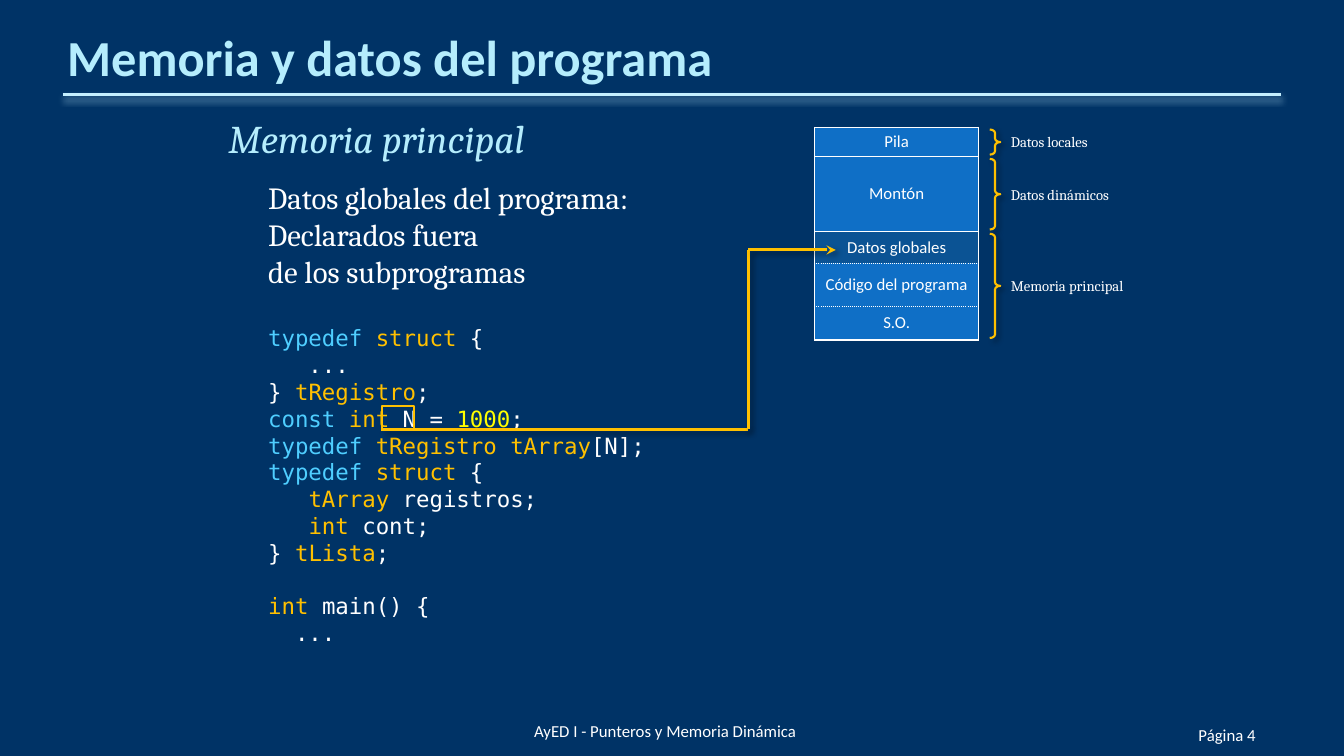
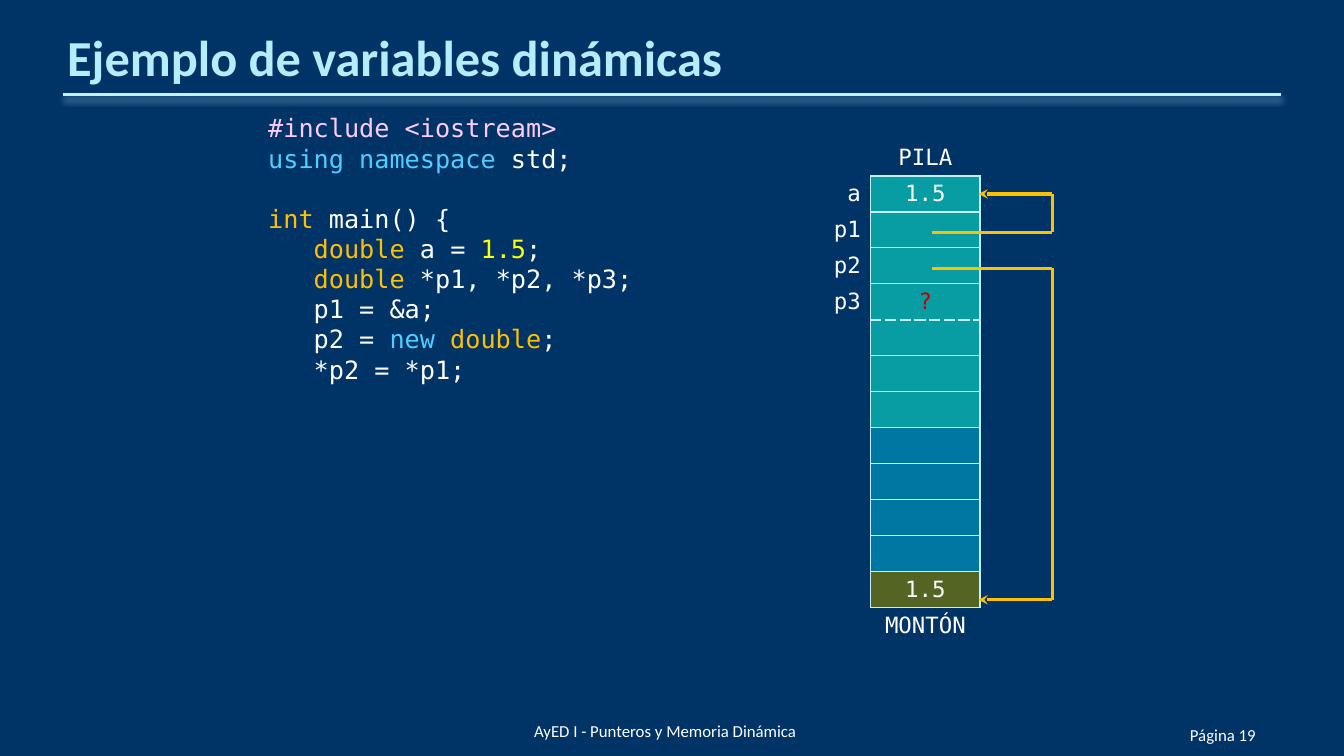
from itertools import accumulate, pairwise

from pptx import Presentation
from pptx.dml.color import RGBColor
from pptx.enum.shapes import MSO_CONNECTOR as CONN, MSO_SHAPE as SHAPE
from pptx.enum.text import MSO_ANCHOR as ANCHOR, MSO_AUTO_SIZE as AUTO, PP_ALIGN as ALIGN
from pptx.oxml.ns import qn
from pptx.util import Pt
from lxml.etree import SubElement

COLORS = {
    "background": "003366", "title": "B5EDFD", "rule": "C4EFFF", "text": "FFFFFF",
    "keyword": "4FCEFF", "type": "FFC000", "number": "FFFF00", "directive": "FFCCFF",
    "accent": "FFC000", "shadow": "000000", "segment": "0F6FC6", "globals": "0B5394",
    "stack": "089CA3", "free": "0076A3", "heap": "546422", "unknown": "C00000",
}
SANS, SERIF, MONO = "Calibri", "Cambria", "DejaVu Sans Mono"
NO_TABLE_STYLE = "{2D5ABB26-0587-4C30-8999-92F81FD0307C}"
FOOTER = "AyED I - Punteros y Memoria Dinámica"
RULE_SHADOW = ("rule", 35, 4.5, 3, 90)
DROP_SHADOW = ("shadow", 40, 4, 3, 45)


def rgb(name):
    return RGBColor.from_string(COLORS[name])


def style_font(font, size, name, color="text", bold=False, italic=False):
    font.size, font.name, font.bold, font.italic = Pt(size), name, bold, italic
    font.color.rgb = rgb(color)


def set_effects(s, shadow=None):
    """Replace the theme effects; shadow is colour, opacity, blur, distance, angle."""
    sp_pr = s._element.spPr
    for old in sp_pr.findall(qn("a:effectLst")):
        sp_pr.remove(old)
    effects = SubElement(sp_pr, qn("a:effectLst"))
    if shadow:
        color, opacity, blur, distance, angle = shadow
        outer = SubElement(effects, qn("a:outerShdw"), blurRad=str(Pt(blur)),
                           dist=str(Pt(distance)), dir=str(angle * 60000),
                           algn="t", rotWithShape="0")
        clr = SubElement(outer, qn("a:srgbClr"), val=COLORS[color])
        SubElement(clr, qn("a:alpha"), val=str(opacity * 1000))


def add_line(slide, start, end, color, shadow=None, arrow=False):
    s = slide.shapes.add_connector(CONN.STRAIGHT, *map(Pt, (*start, *end)))
    s.line.color.rgb, s.line.width = rgb(color), Pt(2.25)
    if arrow:
        SubElement(s.line._get_or_add_ln(), qn("a:tailEnd"), type="stealth")
    set_effects(s, shadow)


def add_arrow_path(slide, points, shadow=None):
    """Join the points with straight lines; the last one carries the arrowhead."""
    for start, end in pairwise(points):
        add_line(slide, start, end, "accent", shadow, arrow=end == points[-1])


def add_outline(slide, kind, box, shadow=None):
    s = slide.shapes.add_shape(kind, *map(Pt, box))
    s.fill.background()
    s.line.color.rgb, s.line.width = rgb("accent"), Pt(1.5)
    set_effects(s, shadow)
    return s


def add_text_box(slide, box, anchor=ANCHOR.TOP, inset=None, wrap=True):
    tf = slide.shapes.add_textbox(*map(Pt, box)).text_frame
    tf.word_wrap, tf.vertical_anchor = wrap, anchor
    if inset is not None:
        tf.margin_left = tf.margin_right = tf.margin_top = tf.margin_bottom = Pt(inset)
    return tf


def add_label(slide, box, text, size, font, anchor, inset=None, align=ALIGN.LEFT, wrap=True):
    tf = add_text_box(slide, box, anchor, inset, wrap)
    tf.text = text
    p = tf.paragraphs[0]
    p.alignment = align
    style_font(p.runs[0].font, size, font)


def next_paragraph(tf, pitch, indent=0):
    first = tf.paragraphs[0]
    p = tf.add_paragraph() if first.runs else first
    p.line_spacing = Pt(pitch)
    p._p.get_or_add_pPr().set("marL", str(Pt(indent)))
    return p


def add_prose(tf, text, size, pitch, after, color="text", indent=0, italic=False):
    p = next_paragraph(tf, pitch, indent)
    p.text = text
    p.space_after = Pt(after)
    for r in p.runs:
        style_font(r.font, size, SERIF, color, italic=italic)


def add_code(tf, lines, size, pitch):
    """Write coloured code; an empty line becomes space before the next one."""
    gap = 0
    for line in lines:
        if not line:
            gap = pitch
            continue
        p = next_paragraph(tf, pitch, indent=28.5)
        if gap:
            p.space_before = Pt(gap)
        gap = 0
        for text, color in line:
            r = p.add_run()
            r.text = text
            style_font(r.font, size, MONO, color)


def add_plain_table(slide, left, top, widths, heights):
    s = slide.shapes.add_table(len(heights), len(widths), Pt(left), Pt(top),
                               Pt(sum(widths)), Pt(sum(heights)))
    table = s.table
    table.first_row = table.horz_banding = False
    table._tbl.tblPr.find(qn("a:tableStyleId")).text = NO_TABLE_STYLE
    for column, width in zip(table.columns, widths):
        column.width = Pt(width)
    for row, height in zip(table.rows, heights):
        row.height = Pt(height)
    return table


def set_cell(cell, text, size, font, color="text", align=ALIGN.CENTER,
             fill=None, border=None, dashes=None):
    """Fill in a cell; dashes maps a side (L, R, T, B) to its width and dash."""
    cell.margin_top = cell.margin_bottom = 0
    cell.vertical_anchor = ANCHOR.MIDDLE
    if text:
        cell.text = text
        p = cell.text_frame.paragraphs[0]
        p.alignment = align
        style_font(p.runs[0].font, size, font, color)
    if border:
        tc_pr = cell._tc.get_or_add_tcPr()
        for side in "LRTB":
            width, dash = (dashes or {}).get(side, (1, "solid"))
            ln = SubElement(tc_pr, qn(f"a:ln{side}"), w=str(Pt(width)))
            solid = SubElement(ln, qn("a:solidFill"))
            SubElement(solid, qn("a:srgbClr"), val=COLORS[border])
            SubElement(ln, qn("a:prstDash"), val=dash)
    if fill:
        cell.fill.solid()
        cell.fill.fore_color.rgb = rgb(fill)
    else:
        cell.fill.background()


def add_titled_slide(prs, title, page):
    slide = prs.slides.add_slide(prs.slide_layouts[5])
    add_line(slide, (45, 67.5), (915, 67.5), "rule", RULE_SHADOW)
    s = slide.shapes.title
    s.left, s.top, s.width, s.height = map(Pt, (48, 22.5, 864, 39.5))
    tf = s.text_frame
    tf.text = title
    tf.auto_size, tf.vertical_anchor = AUTO.NONE, ANCHOR.BOTTOM
    tf.margin_left = tf.margin_right = tf.margin_bottom = 0
    tf.margin_top = Pt(3.6)
    p = tf.paragraphs[0]
    p.alignment = ALIGN.LEFT
    style_font(p.runs[0].font, 36, SANS, "title", bold=True)
    add_label(slide, (803, 503.5, 94, 28.5), f"Página {page}", 12, SANS,
              ANCHOR.BOTTOM, 0, ALIGN.RIGHT)
    add_label(slide, (381.5, 500.5, 345, 28.5), FOOTER, 12, SANS, ANCHOR.BOTTOM, 0)
    return slide


def add_memory_map(slide, left, top):
    width = 117
    dotted = (1, "sysDot")
    segments = [
        ("Pila", 21, "segment", {}),
        ("Montón", 53.5, "segment", {}),
        ("Datos globales", 22.5, "globals", {"B": dotted}),
        ("Código del programa", 31, "segment", {"T": dotted, "B": dotted}),
        ("S.O.", 24, "segment", {"T": dotted}),
    ]
    heights = [height for _, height, _, _ in segments]
    table = add_plain_table(slide, left, top, [width], heights)
    for i, (text, _, fill, dashes) in enumerate(segments):
        set_cell(table.cell(i, 0), text, 12, SANS, fill=fill, border="text", dashes=dashes)

    edges = list(accumulate(heights, initial=top))
    braces = [("Datos locales", 0, 1), ("Datos dinámicos", 1, 2), ("Memoria principal", 2, 5)]
    for text, first, last in braces:
        y, height = edges[first], edges[last] - edges[first]
        s = add_outline(slide, SHAPE.RIGHT_BRACE,
                        (left + width + 8, y + 1.5, 7.5, height - 3), DROP_SHADOW)
        s.adjustments[0], s.adjustments[1] = 0.34, 0.5
        add_label(slide, (left + width + 16, y + height / 2 - 10, 99, 20), text, 10.5,
                  SERIF, ANCHOR.MIDDLE, wrap=False)


def add_stack_and_heap(slide, left, top):
    label_width, cell_width, row = 51, 78, 25.7
    names = ["a", "p1", "p2", "p3"]
    values = {0: ("1.5", "text"), 3: ("?", "unknown"), 11: ("1.5", "text")}
    fills = ["stack"] * 7 + ["free"] * 4 + ["heap"]
    limit = (1.5, "sysDash")
    dashes = {3: {"B": limit}, 4: {"T": limit}}
    table = add_plain_table(slide, left, top, [label_width, cell_width],
                            [row] * (len(fills) + 2))
    for i, text in ((0, "PILA"), (len(fills) + 1, "MONTÓN")):
        set_cell(table.cell(i, 0), "", 16, MONO)
        set_cell(table.cell(i, 1), text, 16, MONO)
    for i, fill in enumerate(fills):
        name = names[i] if i < len(names) else ""
        text, color = values.get(i, ("", "text"))
        set_cell(table.cell(i + 1, 0), name, 16, MONO, align=ALIGN.RIGHT)
        set_cell(table.cell(i + 1, 1), text, 16, MONO, color, fill=fill,
                 border="rule", dashes=dashes.get(i))

    right = left + label_width + cell_width
    for start, end in ((2.56, 1.5), (3.57, 12.78)):
        y1, y2 = top + start * row, top + end * row
        turn = right + 51.5
        add_arrow_path(slide, [(right - 34.5, y1), (turn, y1), (turn, y2), (right - 1, y2)])


def build_memory_slide(prs):
    slide = add_titled_slide(prs, "Memoria y datos del programa", 4)
    tf = add_text_box(slide, (156, 77, 400, 402.5))
    add_prose(tf, "Memoria principal", 28, 35, 12, "title", italic=True)
    add_prose(tf, "Datos globales del programa:\vDeclarados fuera\vde los subprogramas",
              22, 26.4, 6, indent=28.5)
    typedef_struct = [("typedef ", "keyword"), ("struct", "type"), (" {", "text")]
    add_code(tf, [
        [],
        typedef_struct,
        [("   ...", "text")],
        [("} ", "text"), ("tRegistro", "type"), (";", "text")],
        [("const ", "keyword"), ("int ", "type"), ("N = ", "text"), ("1000", "number"),
         (";", "text")],
        [("typedef ", "keyword"), ("tRegistro tArray", "type"), ("[N];", "text")],
        typedef_struct,
        [("   ", "text"), ("tArray", "type"), (" registros;", "text")],
        [("   ", "text"), ("int ", "type"), ("cont;", "text")],
        [("} ", "text"), ("tLista", "type"), (";", "text")],
        [],
        [("int ", "type"), ("main() {", "text")],
        [("  ...", "text")],
    ], 16, 19.15)
    add_memory_map(slide, 582, 91)
    add_outline(slide, SHAPE.RECTANGLE, (273, 290, 22.5, 17))
    add_arrow_path(slide, [(272.5, 306.7), (534.5, 306.7), (534.5, 178.5), (597, 178.5)],
                   DROP_SHADOW)


def build_dynamic_slide(prs):
    slide = add_titled_slide(prs, "Ejemplo de variables dinámicas", 19)
    tf = add_text_box(slide, (156, 77, 400, 402.5))
    add_code(tf, [
        [("#include <iostream>", "directive")],
        [("using namespace ", "keyword"), ("std;", "text")],
        [],
        [("int", "type"), (" main() {", "text")],
        [("   ", "text"), ("double", "type"), (" a = ", "text"), ("1.5", "number"),
         (";", "text")],
        [("   ", "text"), ("double", "type"), (" *p1, *p2, *p3;", "text")],
        [("   p1 = &a;", "text")],
        [("   p2 = ", "text"), ("new ", "keyword"), ("double", "type"), (";", "text")],
        [("   *p2 = *p1;", "text")],
    ], 18, 21.55)
    add_stack_and_heap(slide, 571, 100)


def main():
    prs = Presentation()
    prs.slide_width, prs.slide_height = Pt(960), Pt(540)
    fill = prs.slide_master.background.fill
    fill.solid()
    fill.fore_color.rgb = rgb("background")
    build_memory_slide(prs)
    build_dynamic_slide(prs)
    prs.save("out.pptx")


if __name__ == "__main__":
    main()
